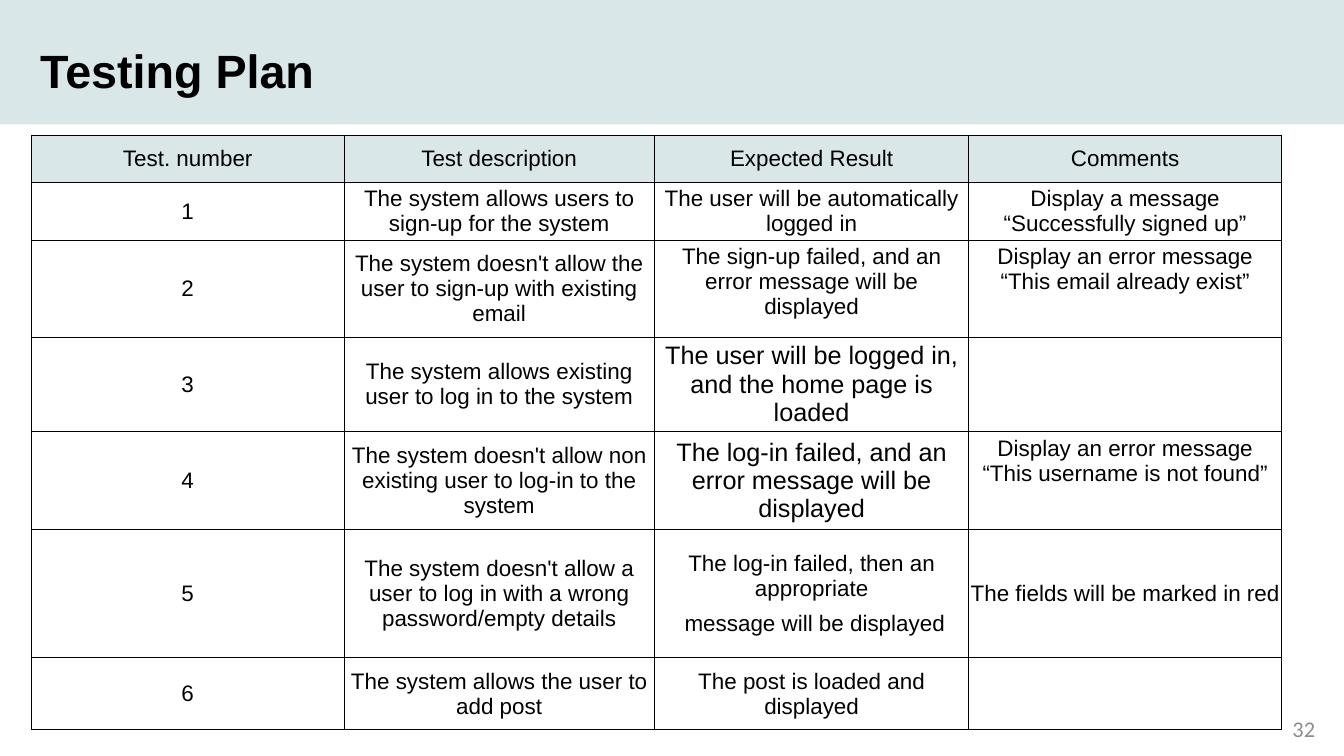
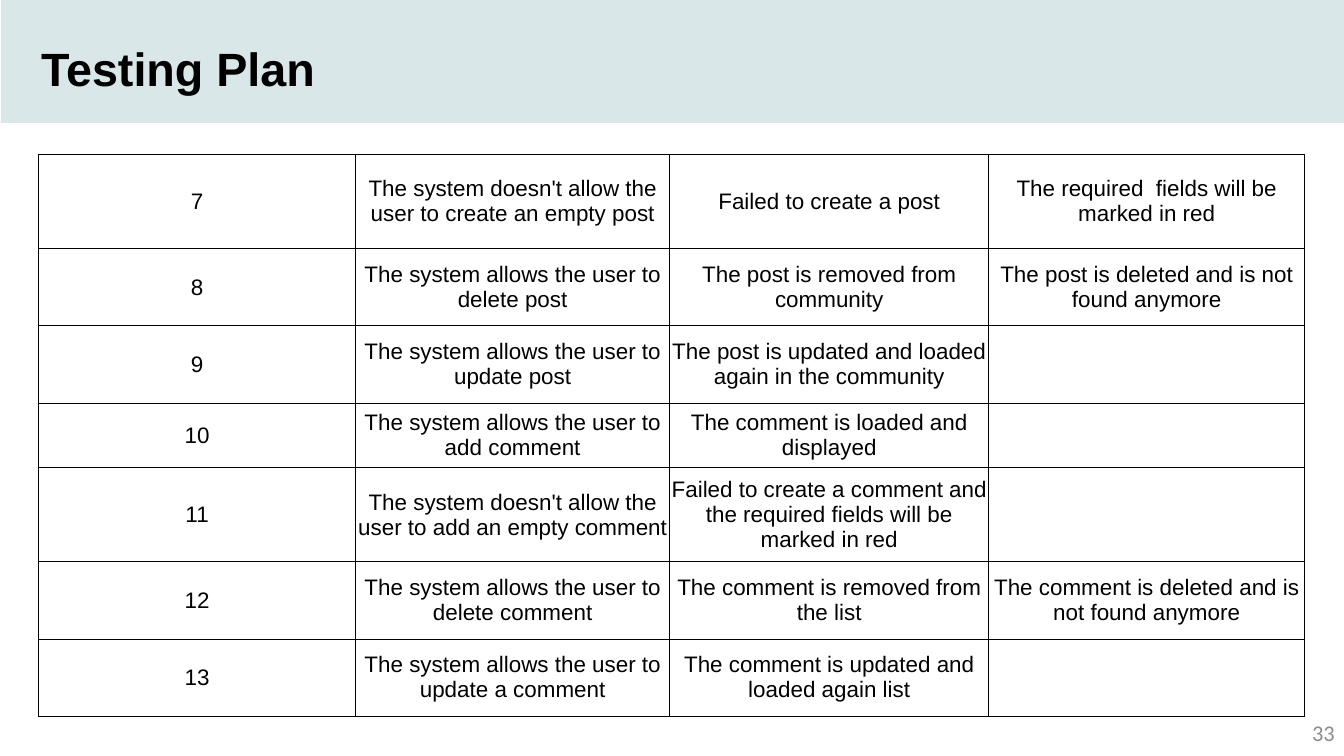
from lxml import etree
from pptx import Presentation
from pptx.dml.color import RGBColor
from pptx.enum.shapes import MSO_SHAPE
from pptx.enum.text import MSO_ANCHOR, MSO_AUTO_SIZE, PP_ALIGN
from pptx.oxml.ns import qn
from pptx.util import Cm, Pt

TOP, MIDDLE = MSO_ANCHOR.TOP, MSO_ANCHOR.MIDDLE
LEFT, CENTER, RIGHT = PP_ALIGN.LEFT, PP_ALIGN.CENTER, PP_ALIGN.RIGHT
BLACK = RGBColor(0x00, 0x00, 0x00)
GREY = RGBColor(0x8C, 0x8C, 0x8C)
PALE_TEAL = RGBColor(0xD9, 0xE7, 0xE8)

SLIDE_WIDTH, SLIDE_HEIGHT, BAND_HEIGHT = 50.8, 28.58, 4.7
TITLE = "Testing Plan"
HEADER = ("Test. number", "Test description", "Expected Result", "Comments")

# Each test: description, expected result, comment
FIRST_TESTS = [
    ("The system allows users to sign-up for the system",
     "The user will be automatically logged in",
     "Display a message “Successfully signed up”"),
    ("The system doesn't allow the user to sign-up with existing email",
     "The sign-up failed, and an error message will be displayed",
     "Display an error message “This email already exist”"),
    ("The system allows existing user to log in to the system",
     "The user will be logged in, and the home page is loaded", ""),
    ("The system doesn't allow non existing user to log-in to the system",
     "The log-in failed, and an error message will be displayed",
     "Display an error message “This username is not found”"),
    ("The system doesn't allow a user to log in with a wrong password/empty details",
     "The log-in failed, then an appropriate\n message will be displayed",
     "The fields will be marked in red"),
    ("The system allows the user to add post",
     "The post is loaded and displayed", ""),
]
LATER_TESTS = [
    ("The system doesn't allow the user to create an empty post",
     "Failed to create a post",
     "The required  fields will be marked in red"),
    ("The system allows the user to delete post",
     "The post is removed from community",
     "The post is deleted and is not found anymore"),
    ("The system allows the user to update post",
     "The post is updated and loaded again in the community", ""),
    ("The system allows the user to add comment",
     "The comment is loaded and displayed", ""),
    ("The system doesn't allow the user to add an empty comment",
     "Failed to create a comment and the required fields will be marked in red", ""),
    ("The system allows the user to delete comment",
     "The comment is removed from the list",
     "The comment is deleted and is not found anymore"),
    ("The system allows the user to update a comment",
     "The comment is updated and loaded again list", ""),
]
# (test number, column) of the cells that differ from the rest
TOP_CELLS = {("2", 2), ("2", 3), ("4", 3)}
LARGE_CELLS = {("3", 2), ("4", 2)}

# Positions and lengths in cm; shift moves the band and title together
PAGES = [
    dict(number=32, tests=FIRST_TESTS, first_test=1, header=[HEADER],
         shift=(0, 0), table_at=(1.19, 5.11), number_at=(38.53, 26.8),
         columns=(11.81, 11.73, 11.89, 11.81),
         rows=(1.8, 2.16, 3.68, 3.56, 3.71, 4.85, 2.72)),
    dict(number=33, tests=LATER_TESTS, first_test=7, header=[],
         shift=(0.03, -0.05), table_at=(1.47, 5.84), number_at=(39.27, 26.95),
         columns=(11.96, 11.89, 12.04, 11.96),
         rows=(3.56, 2.92, 2.92, 2.44, 3.56, 2.92, 2.92)),
]


def write(frame, text, size, font="Arial", color=BLACK, bold=False, align=CENTER,
          line_spacing=None):
    """Fill a text frame, one paragraph per line of text."""
    frame.word_wrap = True
    for index, line in enumerate(text.split("\n")):
        para = frame.add_paragraph() if index else frame.paragraphs[0]
        para.alignment = align
        para.space_before = Pt(10 if index else 0)
        if line_spacing:
            para.line_spacing = Pt(line_spacing)
        para.font.size = Pt(size)
        span = para.add_run()
        span.text = line
        span.font.name, span.font.size = font, Pt(size)
        span.font.bold, span.font.color.rgb = bold, color


def set_margins(target, margin):
    target.margin_left = target.margin_right = Cm(margin)
    target.margin_top = target.margin_bottom = Cm(margin)


def add_borders(cell):
    properties = cell._tc.get_or_add_tcPr()
    for side in ("a:lnL", "a:lnR", "a:lnT", "a:lnB"):
        line = etree.SubElement(properties, qn(side), w=str(Pt(1)))
        fill = etree.SubElement(line, qn("a:solidFill"))
        etree.SubElement(fill, qn("a:srgbClr"), val=str(BLACK))


def add_heading(page, shift):
    across, down = shift
    band = page.shapes.add_shape(MSO_SHAPE.RECTANGLE, Cm(across), Cm(down),
                                 Cm(SLIDE_WIDTH), Cm(BAND_HEIGHT))
    band.shadow.inherit = False
    band.fill.solid()
    band.fill.fore_color.rgb = PALE_TEAL
    band.line.fill.background()

    title = page.shapes.title
    title.element.addprevious(band.element)
    title.left, title.top = Cm(1.52 + across), Cm(1.22 + down)
    title.width, title.height = Cm(20.4), Cm(2.34)
    frame = title.text_frame
    set_margins(frame, 0)
    frame.vertical_anchor = TOP
    frame.auto_size = MSO_AUTO_SIZE.SHAPE_TO_FIT_TEXT
    write(frame, TITLE, 50, bold=True, align=LEFT, line_spacing=70)


def add_test_table(page, content):
    numbered = [(str(number), *test) for number, test
                in enumerate(content["tests"], content["first_test"])]
    records = content["header"] + numbered
    left, top = content["table_at"]
    columns, rows = content["columns"], content["rows"]
    table = page.shapes.add_table(len(rows), len(columns), Cm(left), Cm(top),
                                  Cm(sum(columns)), Cm(sum(rows))).table
    table.first_row = table.horz_banding = False
    for column, width in zip(table.columns, columns):
        column.width = Cm(width)
    for row, height, record in zip(table.rows, rows, records):
        row.height = Cm(height)
        for index, (cell, text) in enumerate(zip(row.cells, record)):
            place = (record[0], index)
            at_top = place in TOP_CELLS
            set_margins(cell, 0.18 if at_top else 0.04)
            cell.vertical_anchor = TOP if at_top else MIDDLE
            add_borders(cell)
            if record is HEADER:
                cell.fill.solid()
                cell.fill.fore_color.rgb = PALE_TEAL
            else:
                cell.fill.background()
            if text:
                write(cell.text_frame, text, 27 if place in LARGE_CELLS else 24)


def add_page_number(page, number, at):
    left, top = at
    box = page.shapes.add_textbox(Cm(left), Cm(top), Cm(11.43), Cm(1.52))
    box.text_frame.vertical_anchor = MIDDLE
    write(box.text_frame, str(number), 24, font="Calibri", color=GREY, align=RIGHT)


def main():
    deck = Presentation()
    deck.slide_width, deck.slide_height = Cm(SLIDE_WIDTH), Cm(SLIDE_HEIGHT)
    title_only = deck.slide_layouts[5]
    for content in PAGES:
        page = deck.slides.add_slide(title_only)
        add_heading(page, content["shift"])
        add_test_table(page, content)
        add_page_number(page, content["number"], content["number_at"])
    deck.save("out.pptx")


if __name__ == "__main__":
    main()
